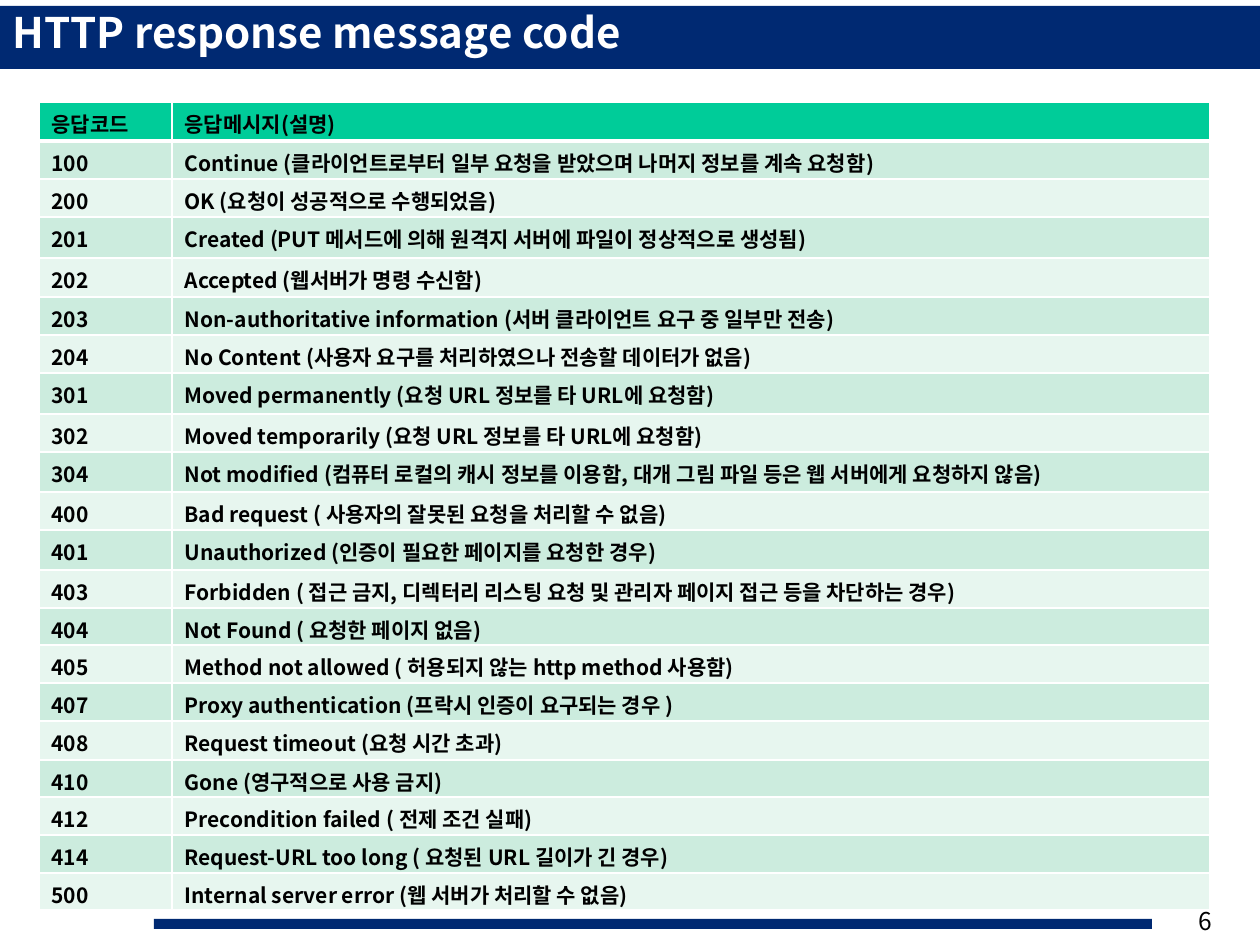
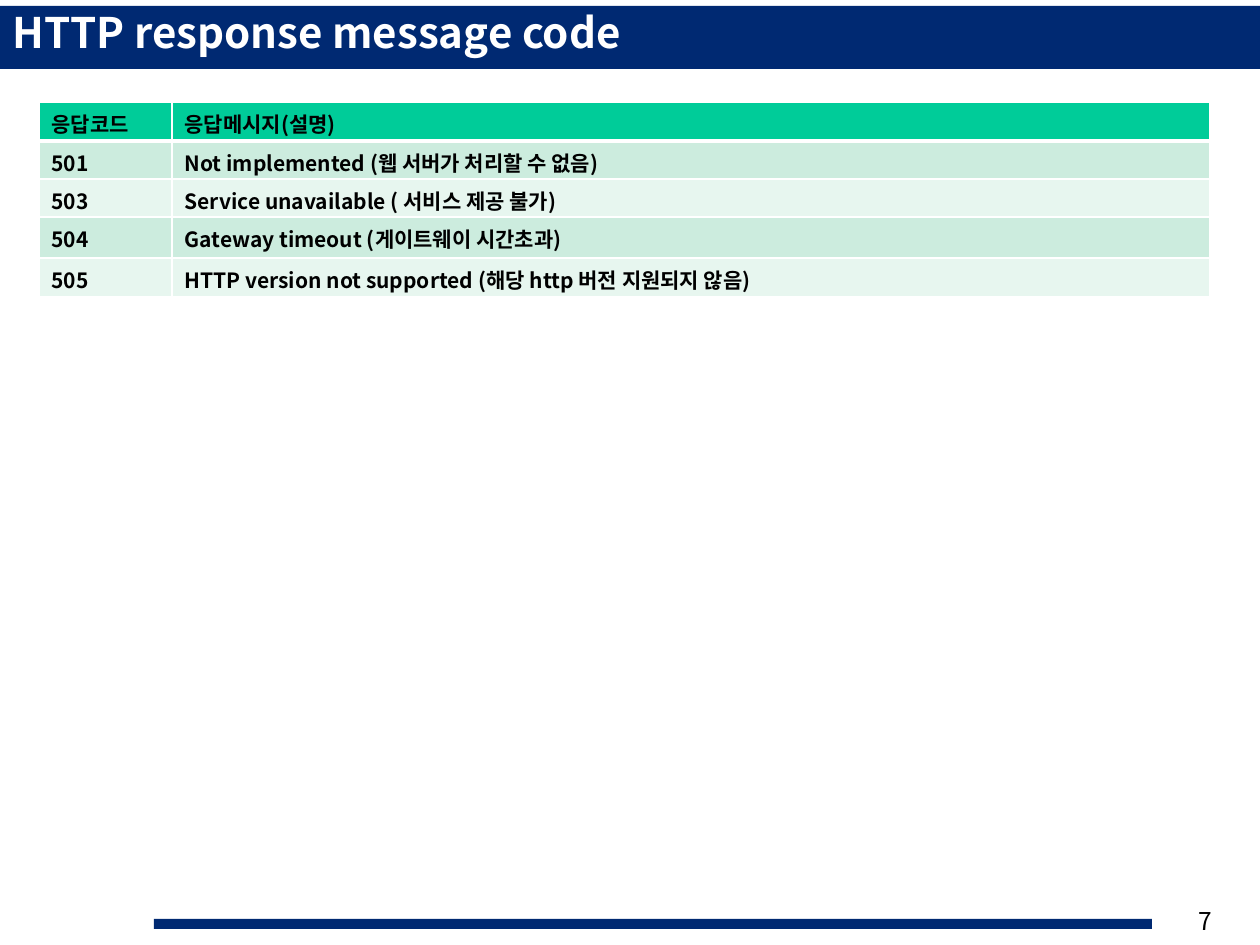
"""Build two slides that list HTTP response codes in a banded table."""
import pptx
import pptx.util
import pptx.dml.color
import pptx.enum.shapes
import pptx.enum.text
import pptx.oxml
import pptx.oxml.ns

RGB = pptx.dml.color.RGBColor
NAVY = RGB(0x00, 0x29, 0x72)
GREEN = RGB(0x00, 0xCC, 0x99)
MINT = RGB(0xCC, 0xEC, 0xDE)
PALE = RGB(0xE7, 0xF6, 0xEF)
WHITE = RGB(0xFF, 0xFF, 0xFF)
BLACK = RGB(0x00, 0x00, 0x00)
FONT = "Noto Sans CJK KR"
ALIGN = pptx.enum.text.PP_ALIGN
TITLE = "HTTP response message code"
HEADER = ("응답코드", "응답메시지(설명)")
BANDS = [(0, 6, 1260, 63), (154, 919, 998, 10)]
COLUMNS = [133, 1038]
ROWS = [39, 38, 38, 41, 39, 38, 38, 41, 38, 40, 38, 40, 38, 37, 38, 38, 39, 37, 38, 38, 37]
PAGES = [
    [
        ("100", "Continue (클라이언트로부터 일부 요청을 받았으며 나머지 정보를 계속 요청함)"),
        ("200", "OK (요청이 성공적으로 수행되었음)"),
        ("201", "Created (PUT 메서드에 의해 원격지 서버에 파일이 정상적으로 생성됨)"),
        ("202", "Accepted (웹서버가 명령 수신함)"),
        ("203", "Non-authoritative information (서버 클라이언트 요구 중 일부만 전송)"),
        ("204", "No Content (사용자 요구를 처리하였으나 전송할 데이터가 없음)"),
        ("301", "Moved permanently (요청 URL 정보를 타 URL에 요청함)"),
        ("302", "Moved temporarily (요청 URL 정보를 타 URL에 요청함)"),
        ("304", "Not modified (컴퓨터 로컬의 캐시 정보를 이용함, 대개 그림 파일 등은 웹 서버에게 요청하지 않음)"),
        ("400", "Bad request ( 사용자의 잘못된 요청을 처리할 수 없음)"),
        ("401", "Unauthorized (인증이 필요한 페이지를 요청한 경우)"),
        ("403", "Forbidden ( 접근 금지, 디렉터리 리스팅 요청 및 관리자 페이지 접근 등을 차단하는 경우)"),
        ("404", "Not Found ( 요청한 페이지 없음)"),
        ("405", "Method not allowed ( 허용되지 않는 http method 사용함)"),
        ("407", "Proxy authentication (프락시 인증이 요구되는 경우 )"),
        ("408", "Request timeout (요청 시간 초과)"),
        ("410", "Gone (영구적으로 사용 금지)"),
        ("412", "Precondition failed ( 전제 조건 실패)"),
        ("414", "Request-URL too long ( 요청된 URL 길이가 긴 경우)"),
        ("500", "Internal server error (웹 서버가 처리할 수 없음)"),
    ],
    [
        ("501", "Not implemented (웹 서버가 처리할 수 없음)"),
        ("503", "Service unavailable ( 서비스 제공 불가)"),
        ("504", "Gateway timeout (게이트웨이 시간초과)"),
        ("505", "HTTP version not supported (해당 http 버전 지원되지 않음)"),
    ],
]


def px(*lengths):
    return [pptx.util.Emu(round(n * 914400 / 126)) for n in lengths]


def write(tf, text, size, color, bold, align=ALIGN.LEFT):
    p = tf.paragraphs[0]
    p.alignment = align
    r = p.add_run()
    r.text = text
    for name, value in {"name": FONT, "size": pptx.util.Pt(size), "bold": bold}.items():
        setattr(r.font, name, value)
    r.font.color.rgb = color
    ea = pptx.oxml.parse_xml(f'<a:ea {pptx.oxml.ns.nsdecls("a")} typeface="{FONT}"/>')
    r.font._element.append(ea)


prs = pptx.Presentation()
prs.slide_width, prs.slide_height = px(1260, 945)
frame = {
    "margin_top": px(6)[0],
    "margin_bottom": 0,
    "word_wrap": True,
    "vertical_anchor": pptx.enum.text.MSO_ANCHOR.TOP,
    "auto_size": pptx.enum.text.MSO_AUTO_SIZE.NONE,
}

for number, codes in enumerate(PAGES, 6):
    slide = prs.slides.add_slide(prs.slide_layouts[5])
    for box in BANDS:
        sp = slide.shapes.add_shape(pptx.enum.shapes.MSO_SHAPE.RECTANGLE, *px(*box))
        sp.shadow.inherit = False
        sp.fill.solid()
        sp.fill.fore_color.rgb = NAVY
        sp.line.fill.background()

    title = slide.shapes.title
    title.element.getparent().append(title.element)
    title.left, title.top, title.width, title.height = px(0, 0, 767, 63)

    rows = [HEADER] + codes
    heights = ROWS[:len(rows)]
    box = px(39, 102, sum(COLUMNS), sum(heights))
    table = slide.shapes.add_table(len(rows), len(COLUMNS), *box).table
    for column, width in zip(table.columns, px(*COLUMNS)):
        column.width = width
    for row, height in zip(table.rows, px(*heights)):
        row.height = height
    for i, row in enumerate(rows):
        for j, text in enumerate(row):
            cell = table.cell(i, j)
            cell.margin_top, cell.margin_bottom = px(6, 0)
            cell.fill.solid()
            cell.fill.fore_color.rgb = GREEN if i == 0 else MINT if i % 2 else PALE
            write(cell.text_frame, text, 12, BLACK, True)
            widths = {"L": 1, "R": 1, "T": 3 if i == 1 else 1, "B": 3 if i == 0 else 1}
            for k, (side, width) in enumerate(widths.items()):
                ln = pptx.oxml.parse_xml(
                    f'<a:ln{side} {pptx.oxml.ns.nsdecls("a")} w="{width * 12700}">'
                    f'<a:solidFill><a:srgbClr val="{WHITE}"/></a:solidFill></a:ln{side}>')
                cell._tc.get_or_add_tcPr().insert(k, ln)

    page = slide.shapes.add_textbox(*px(1154, 900, 71, 54))
    for sp in (title, page):
        for name, value in frame.items():
            setattr(sp.text_frame, name, value)
    write(title.text_frame, TITLE, 24, WHITE, True)
    write(page.text_frame, str(number), 14, BLACK, False, ALIGN.RIGHT)

prs.save("out.pptx")
